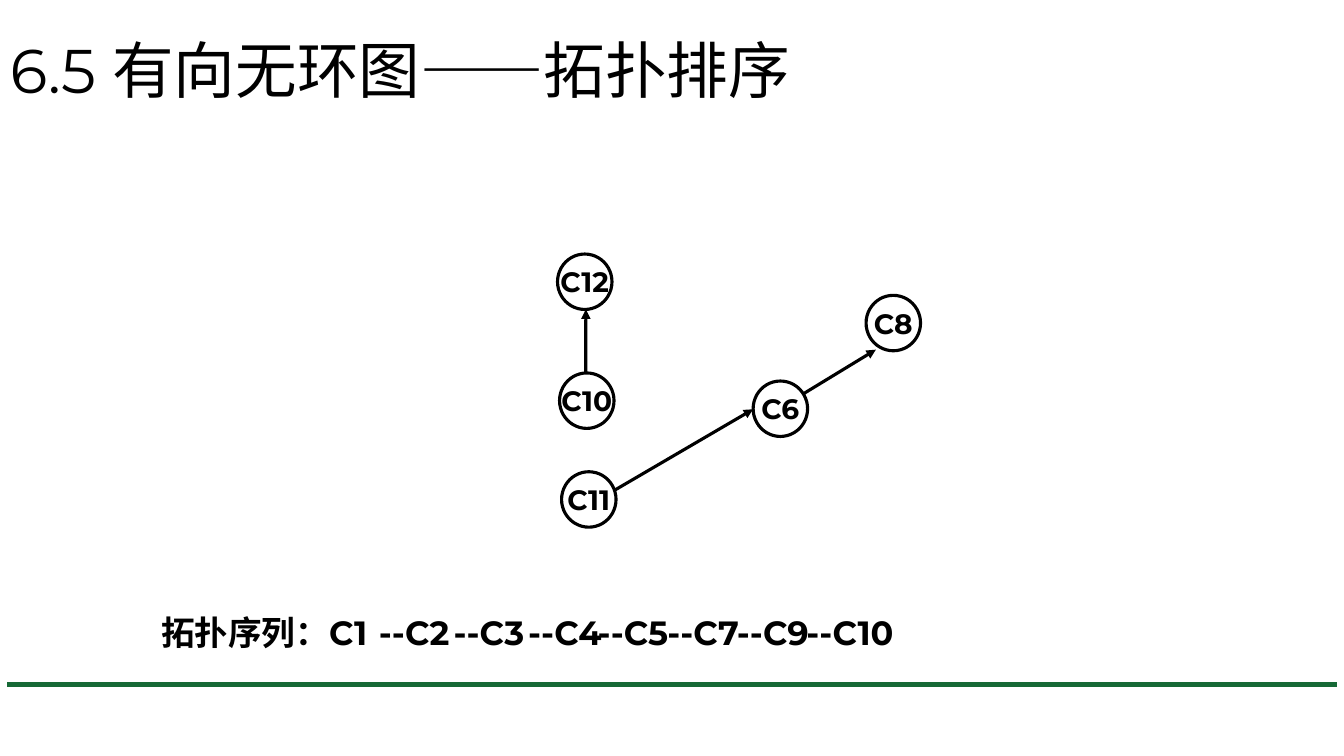
from dataclasses import dataclass

from lxml import etree
from pptx import Presentation
from pptx.dml.color import RGBColor
from pptx.enum.shapes import MSO_CONNECTOR, MSO_SHAPE
from pptx.enum.text import MSO_ANCHOR, MSO_AUTO_SIZE, PP_ALIGN
from pptx.oxml.ns import qn
from pptx.util import Inches, Pt

STRAIGHT = MSO_CONNECTOR.STRAIGHT
OVAL = MSO_SHAPE.OVAL
MIDDLE = MSO_ANCHOR.MIDDLE
CENTER = PP_ALIGN.CENTER
GROW = MSO_AUTO_SIZE.SHAPE_TO_FIT_TEXT

COLUMNS, ROWS = 1333, 750
CELL = Inches(0.01)
NODE_WIDTH, NODE_HEIGHT = 54, 55


@dataclass(frozen=True)
class Theme:
    font: str = "Montserrat"
    ink: RGBColor = RGBColor(0, 0, 0)
    green: RGBColor = RGBColor(0x16, 0x69, 0x36)
    title: Pt = Pt(44)
    sequence: Pt = Pt(24)
    node: Pt = Pt(20)
    edge: Pt = Pt(2.25)
    rule: Pt = Pt(3.75)


THEME = Theme()
NODES = {
    "C6": (194, 126),
    "C8": (306, 41),
    "C10": (2, 118),
    "C11": (4, 216),
    "C12": (0, 0),
}
EDGES = [
    ("C10", (0.48, 0), "C12", (0.52, 1)),
    ("C11", (0.98, 0.33), "C6", (0, 0.51)),
    ("C6", (0.94, 0.22), "C8", (0.18, 0.98)),
]
SEQUENCE = [
    ("拓扑序列：C1", 0, 241),
    ("--C2", 216, 93),
    ("--C3", 290, 93),
    ("--C4", 364, 93),
    ("--C5", 433, 93),
    ("--C7", 502, 95),
    ("--C9", 571, 95),
    ("--C10", 640, 113),
]


def cells(*counts):
    return [round(count * CELL) for count in counts]


def write(frame, text, size, bold=False, spacing=None):
    frame.text = text
    paragraph = frame.paragraphs[0]
    paragraph.line_spacing = spacing
    font = paragraph.runs[0].font
    font.name, font.size, font.bold = THEME.font, size, bold
    font.color.rgb = THEME.ink
    return paragraph


def draw_line(slide, start, end, color, width, arrow=False):
    line = slide.shapes.add_connector(STRAIGHT, *cells(*start, *end))
    line.line.color.rgb = color
    line.line.width = width
    if arrow:
        outline = line.line._get_or_add_ln()
        etree.SubElement(outline, qn("a:tailEnd"), type="triangle")
    etree.SubElement(line._element.spPr, qn("a:effectLst"))


def add_footer_rule(slide, left, top, width):
    draw_line(slide, (left, top), (left + width, top), THEME.green, THEME.rule)


def add_title(slide, left, top, width, height):
    heading = slide.shapes.add_textbox(*cells(left, top, width, height)).text_frame
    heading.word_wrap = True
    heading.vertical_anchor = MIDDLE
    write(heading, "6.5 有向无环图——拓扑排序", THEME.title, spacing=0.9)


def add_graph(slide, left, top):
    for label, (column, row) in NODES.items():
        node = slide.shapes.add_shape(
            OVAL, *cells(left + column, top + row, NODE_WIDTH, NODE_HEIGHT)
        )
        node.shadow.inherit = False
        node.fill.background()
        node.line.color.rgb = THEME.ink
        node.line.width = THEME.edge
        node.text_frame.word_wrap = False
        node.text_frame.vertical_anchor = MIDDLE
        write(node.text_frame, label, THEME.node, bold=True).alignment = CENTER

    def anchor(label, share):
        column, row = NODES[label]
        return (
            left + column + share[0] * NODE_WIDTH,
            top + row + share[1] * NODE_HEIGHT,
        )

    for source, leaving, target, entering in EDGES:
        draw_line(
            slide, anchor(source, leaving), anchor(target, entering),
            THEME.ink, THEME.edge, arrow=True,
        )


def add_sequence(slide, left, top, height):
    for text, column, width in SEQUENCE:
        step = slide.shapes.add_textbox(
            *cells(left + column, top, width, height)
        ).text_frame
        step.word_wrap = True
        step.auto_size = GROW
        write(step, text, THEME.sequence, bold=True, spacing=1.1)


def main():
    deck = Presentation()
    deck.slide_width, deck.slide_height = cells(COLUMNS, ROWS)
    slide = deck.slides.add_slide(deck.slide_layouts[6])
    add_footer_rule(slide, 7, 679, 1319)
    add_title(slide, 0, 0, 1150, 145)
    add_graph(slide, 553, 252)
    add_sequence(slide, 150, 598, 52)
    deck.save("out.pptx")


if __name__ == "__main__":
    main()
